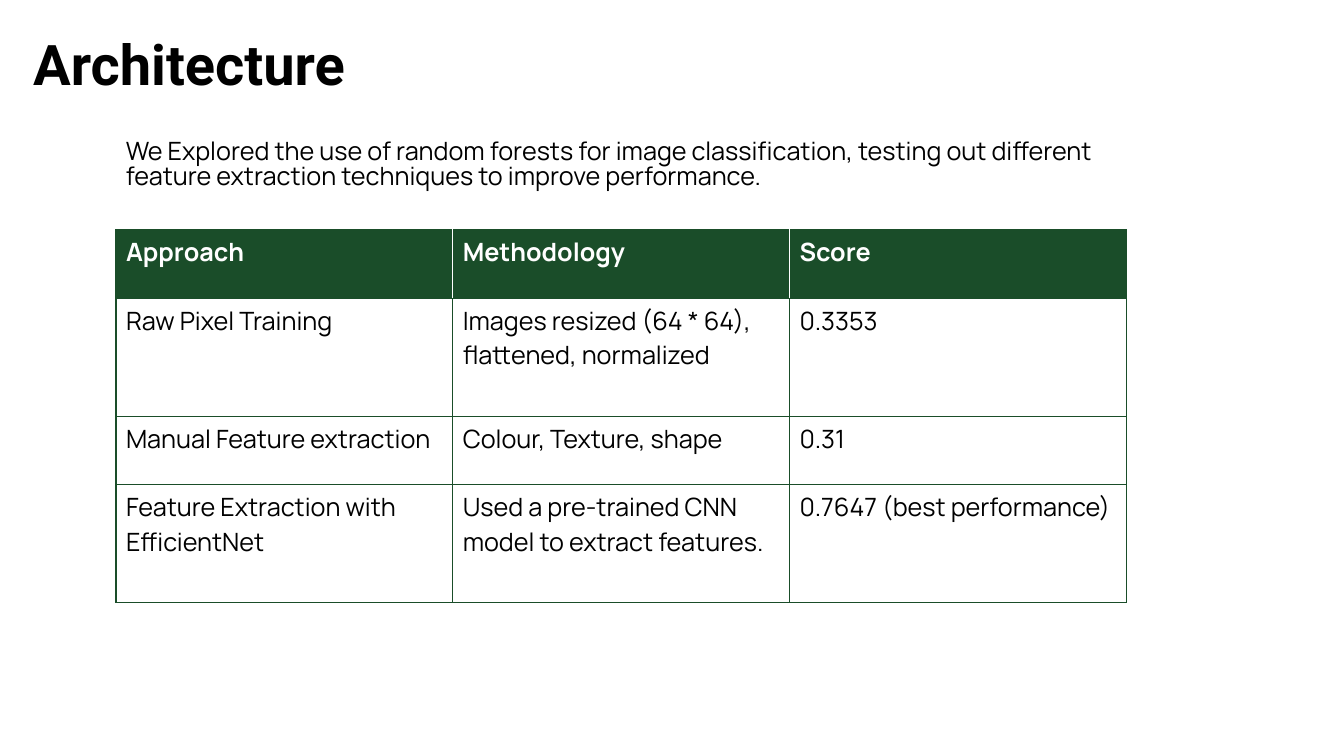
from lxml.etree import SubElement
from pptx import Presentation
from pptx.dml.color import RGBColor
from pptx.enum.shapes import MSO_SHAPE
from pptx.enum.text import MSO_ANCHOR, PP_ALIGN
from pptx.oxml.ns import qn
from pptx.util import Inches, Pt

COLORS = {"green": "1A4D29", "white": "FFFFFF", "black": "000000"}

ROWS = [
    ("Approach", "Methodology", "Score"),
    ("Raw Pixel Training", "Images resized (64 * 64), flattened, normalized", "0.3353"),
    ("Manual Feature extraction", "Colour, Texture, shape", "0.31"),
    ("Feature Extraction with EfficientNet",
     "Used a pre-trained CNN model to extract features.", "0.7647 (best performance)"),
]
ROW_HEIGHTS = [0.68, 1.17, 0.68, 1.17]
COLUMN_WIDTH = 3.34


def rgb(color):
    return RGBColor.from_string(COLORS[color])


def add_text(frame, text, font, size, color, bold=False, spacing=1.0):
    frame.word_wrap = True
    paragraph = frame.paragraphs[0]
    paragraph.alignment = PP_ALIGN.LEFT
    paragraph.line_spacing = spacing
    run = paragraph.add_run()
    run.text = text
    run.font.name = font
    run.font.size = Pt(size)
    run.font.bold = bold
    run.font.color.rgb = rgb(color)


def set_borders(cell, left, right):
    properties = cell._tc.get_or_add_tcPr()
    sides = [("a:lnL", left), ("a:lnR", right), ("a:lnT", "green"), ("a:lnB", "green")]
    for side, color in sides:
        line = SubElement(properties, qn(side), w=str(Pt(1)))
        fill = SubElement(line, qn("a:solidFill"))
        SubElement(fill, qn("a:srgbClr"), val=COLORS[color])


def add_title(slide):
    title = slide.shapes.add_shape(
        MSO_SHAPE.RECTANGLE, Inches(0.23), Inches(0.31), Inches(4.22), Inches(0.71))
    title.shadow.inherit = False
    title.fill.solid()
    title.fill.fore_color.rgb = rgb("white")
    title.line.fill.background()
    title.text_frame.vertical_anchor = MSO_ANCHOR.MIDDLE
    add_text(title.text_frame, "Architecture", "Roboto", 40, "black", True, 0.9)


def add_intro(slide):
    intro = slide.shapes.add_textbox(
        Inches(1.15), Inches(1.35), Inches(10.01), Inches(1.05))
    add_text(intro.text_frame,
             "We Explored the use of random forests for image classification, testing out "
             "different feature extraction techniques to improve performance.",
             "Manrope", 18, "black", spacing=0.81)


def add_results(slide):
    columns = len(ROWS[0])
    results = slide.shapes.add_table(
        len(ROWS), columns, Inches(1.15), Inches(2.28),
        Inches(columns * COLUMN_WIDTH), Inches(sum(ROW_HEIGHTS))).table
    for column in results.columns:
        column.width = Inches(COLUMN_WIDTH)
    for r, (texts, height) in enumerate(zip(ROWS, ROW_HEIGHTS)):
        results.rows[r].height = Inches(height)
        header = r == 0
        inner = "white" if header else "green"
        for c, text in enumerate(texts):
            cell = results.cell(r, c)
            # Borders come before the fill in the cell properties
            set_borders(cell, "green" if c == 0 else inner,
                        "green" if c == columns - 1 else inner)
            if header:
                cell.fill.solid()
                cell.fill.fore_color.rgb = rgb("green")
            else:
                cell.fill.background()
            add_text(cell.text_frame, text, "Manrope", 18,
                     "white" if header else "black", header)


def main():
    deck = Presentation()
    deck.slide_width, deck.slide_height = Inches(13.33), Inches(7.5)
    slide = deck.slides.add_slide(deck.slide_layouts[6])
    # Introduction, comparison table and heading
    add_intro(slide)
    add_results(slide)
    add_title(slide)
    deck.save("out.pptx")


if __name__ == "__main__":
    main()
